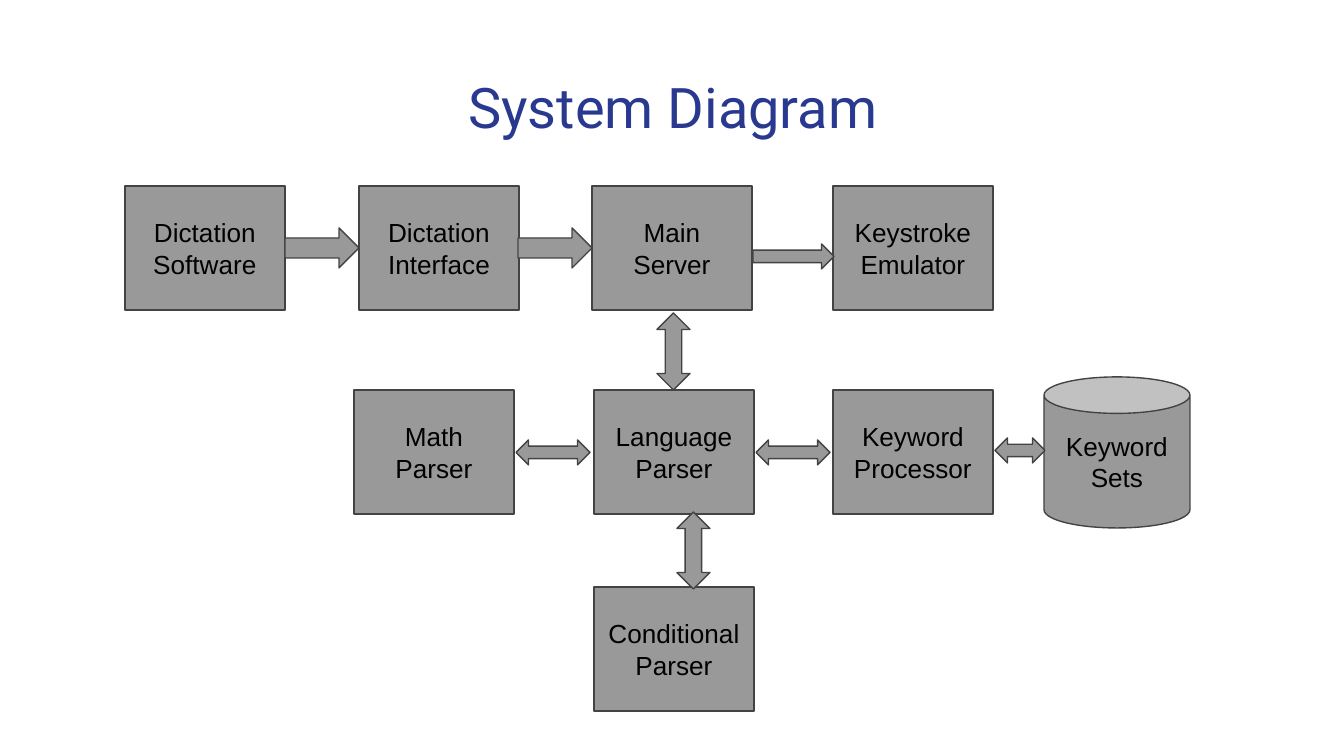
from pptx import Presentation, util as u
from pptx.dml.color import RGBColor
from pptx.enum import shapes, text

EMU_PER_PX = 914400 / 134.4
SHAPE = shapes.MSO_SHAPE
BOX_WIDTH, BOX_HEIGHT = 160, 124
TOP_ROW, MIDDLE_ROW, BOTTOM_ROW = 186, 390, 587


def px(length):
    return u.Emu(round(length * EMU_PER_PX))


def color(hex_string):
    return RGBColor.from_string(hex_string)


class Diagram:
    """Holds the style and the slide being drawn."""
    fill, outline, ink, heading = "999999", "434343", "000000", "2A3990"
    inset = 13

    def __init__(self, slide):
        self.slide = slide

    def set_text(self, shape, lines, font_name, size, ink, anchor):
        """Fill the shape with centred text, one paragraph per line."""
        frame = shape.text_frame
        frame.word_wrap = True
        frame.auto_size = text.MSO_AUTO_SIZE.NONE
        frame.vertical_anchor = anchor
        frame.margin_left = frame.margin_right = px(self.inset)
        frame.margin_top = frame.margin_bottom = px(self.inset)
        frame.text = lines
        for paragraph in frame.paragraphs:
            paragraph.alignment = text.PP_ALIGN.CENTER
            paragraph.font.name = font_name
            paragraph.font.size = u.Pt(size)
            paragraph.font.color.rgb = color(ink)

    def title(self, wording, left, top, width, height):
        title = self.slide.shapes.title
        title.left, title.top = px(left), px(top)
        title.width, title.height = px(width), px(height)
        self.set_text(title, wording, "Roboto", 30, self.heading,
                      text.MSO_ANCHOR.TOP)

    def block(self, kind, left, top, width, height):
        shape = self.slide.shapes.add_shape(
            kind, px(left), px(top), px(width), px(height))
        shape.shadow.inherit = False
        shape.fill.solid()
        shape.fill.fore_color.rgb = color(self.fill)
        shape.line.color.rgb = color(self.outline)
        shape.line.width = u.Pt(0.75)
        return shape

    def component(self, label, left, top, width=BOX_WIDTH, height=BOX_HEIGHT,
                  kind=SHAPE.RECTANGLE):
        shape = self.block(kind, left, top, width, height)
        self.set_text(shape, label, "Arial", 14, self.ink,
                      text.MSO_ANCHOR.MIDDLE)


def main():
    presentation = Presentation()
    presentation.slide_width, presentation.slide_height = px(1344), px(756)
    slide = presentation.slides.add_slide(presentation.slide_layouts[5])
    diagram = Diagram(slide)
    diagram.title("System Diagram", 47, 60, 1252, 89)

    components = [
        ("Dictation Software", 125, TOP_ROW),
        ("Dictation Interface", 359, TOP_ROW),
        ("Main\nServer", 592, TOP_ROW),
        ("Keystroke Emulator", 833, TOP_ROW),
        ("Math Parser", 354, MIDDLE_ROW),
        ("Language Parser", 594, MIDDLE_ROW),
        ("Keyword Processor", 833, MIDDLE_ROW),
        ("Conditional Parser", 594, BOTTOM_ROW),
    ]
    for label, left, top in components:
        diagram.component(label, left, top)
    diagram.component("Keyword Sets", 1044, 377, 146, 151, SHAPE.CAN)

    arrows = [
        (SHAPE.RIGHT_ARROW, 285, 228, 74, 40),
        (SHAPE.RIGHT_ARROW, 518, 228, 74, 40),
        (SHAPE.RIGHT_ARROW, 753, 244, 81, 25),
        (SHAPE.UP_DOWN_ARROW, 657, 313, 33, 77),
        (SHAPE.LEFT_RIGHT_ARROW, 516, 440, 74, 25),
        (SHAPE.LEFT_RIGHT_ARROW, 756, 440, 74, 25),
        (SHAPE.LEFT_RIGHT_ARROW, 995, 438, 50, 25),
        (SHAPE.UP_DOWN_ARROW, 677, 512, 33, 77),
    ]
    for arrow in arrows:
        diagram.block(*arrow)

    presentation.save("out.pptx")


if __name__ == "__main__":
    main()
